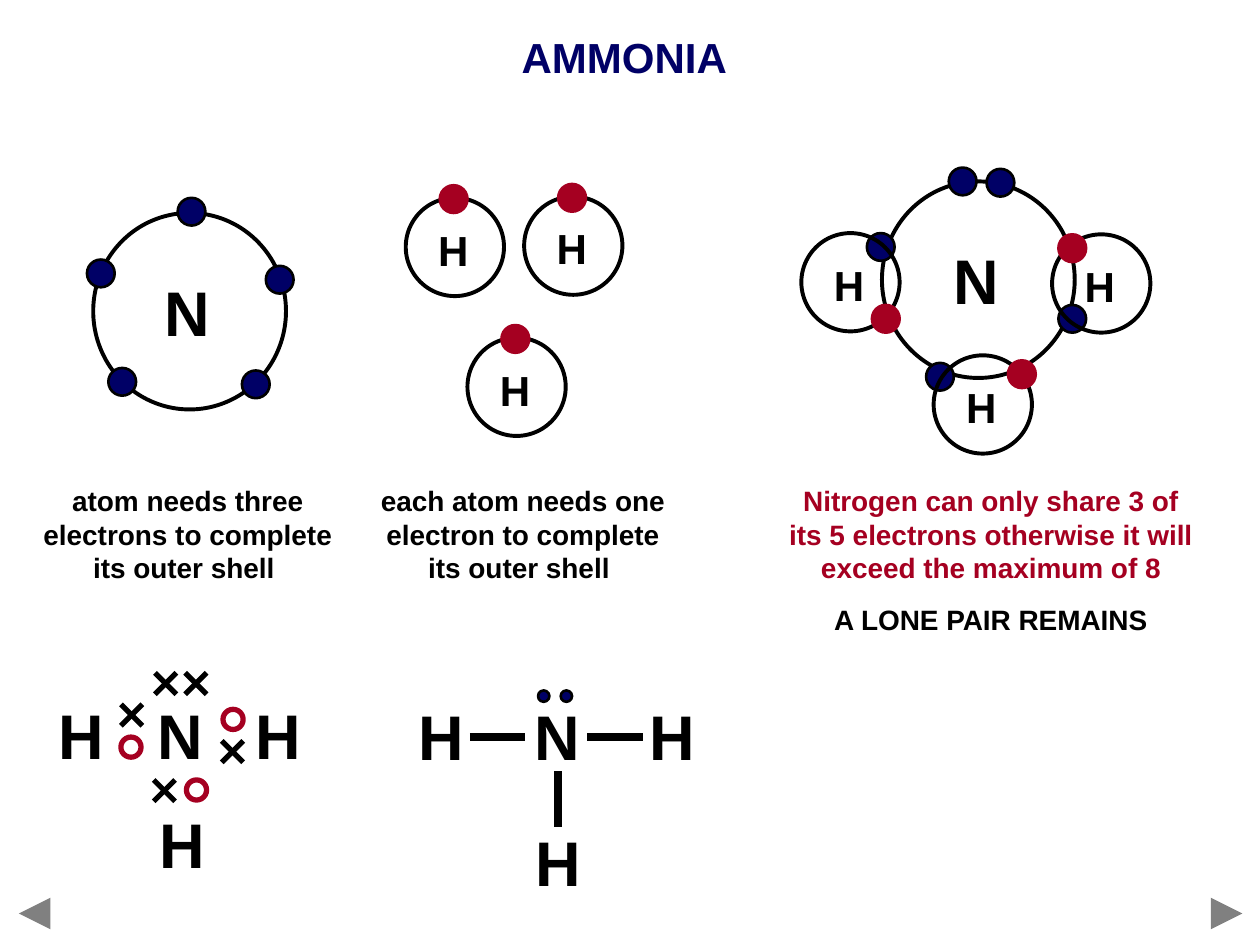
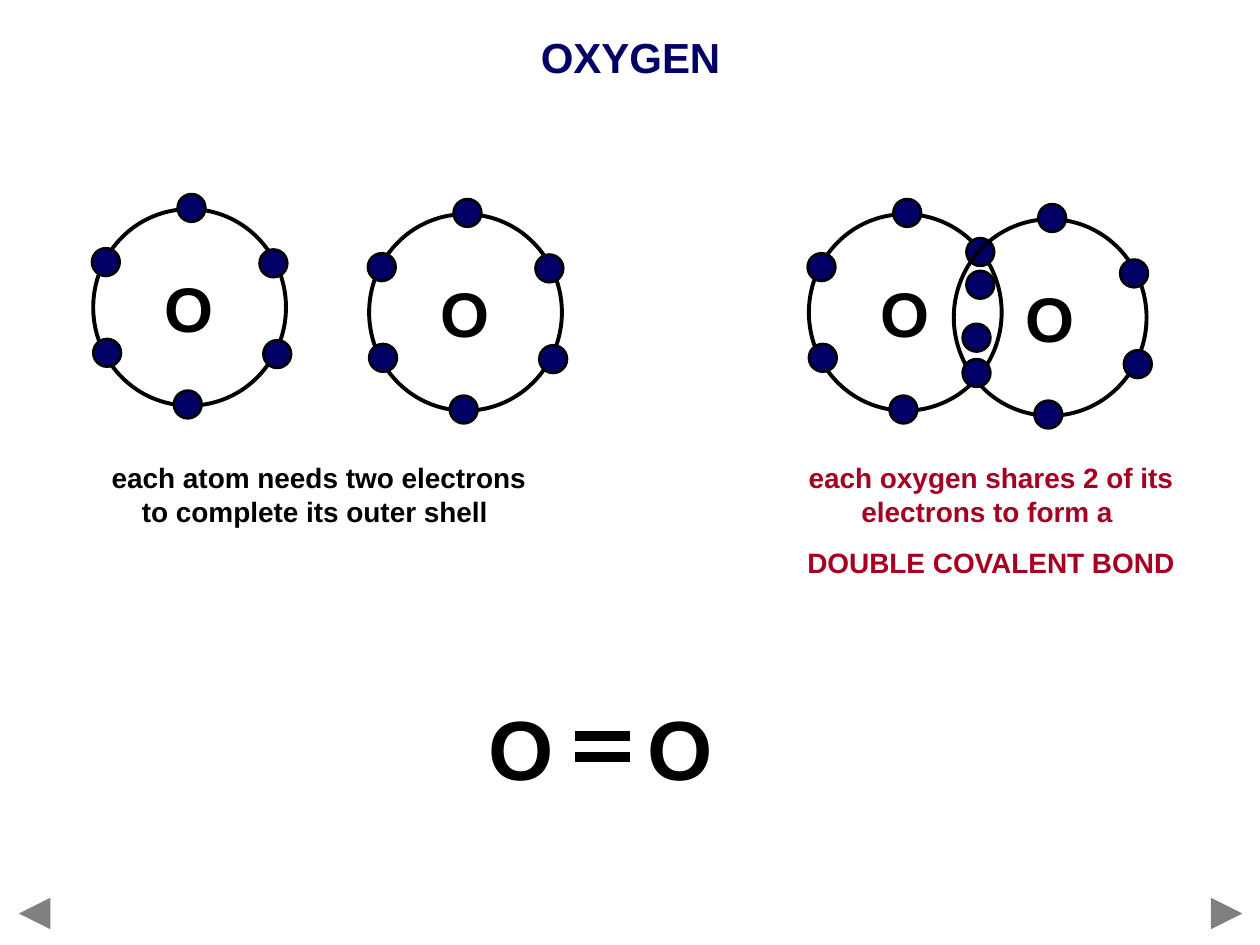
"""Build two slides on covalent bonding: ammonia and oxygen."""
from lxml import etree
from pptx import Presentation
from pptx.dml.color import RGBColor
from pptx.enum.shapes import MSO_CONNECTOR, MSO_SHAPE
from pptx.enum.text import MSO_AUTO_SIZE, PP_ALIGN
from pptx.oxml.ns import qn
from pptx.util import Emu, Pt

STRAIGHT = MSO_CONNECTOR.STRAIGHT
OVAL = MSO_SHAPE.OVAL
LEFT, CENTER = PP_ALIGN.LEFT, PP_ALIGN.CENTER
FIT_SHAPE = MSO_AUTO_SIZE.SHAPE_TO_FIT_TEXT

EMU_PER_PX = 9144
COLORS = {"black": "000000", "navy": "000066", "red": "A50021", "grey": "808080"}
FONT = {"name": "Arial", "bold": True}
SHELL_SIZE = (153, 156)
HYDROGEN_SIZE = 78
ELECTRON_SIZE = 22
CROSS_SIZE = 17
BOND_LENGTH = 44

NITROGEN_ELECTRONS = [(137, 42), (-5, 37), (67, -12), (12, 123), (118, 125)]
SHARED_NITROGEN_ELECTRONS = [(140, 98), (-12, 41), (83, -10), (35, 144), (53, -11)]
OXYGEN_ELECTRONS = {
    "top": (67, -12), "upper right": (132, 32), "lower right": (135, 104),
    "bottom": (64, 144), "lower left": (0, 103), "upper left": (-1, 31),
}
LEFT_PARTNER = {**OXYGEN_ELECTRONS, "upper right": (125, 19), "lower right": (122, 87)}
RIGHT_PARTNER = {**OXYGEN_ELECTRONS, "upper left": (10, 41), "lower left": (7, 111)}


def px(length):
    """Turn px into EMU."""
    return Emu(round(length * EMU_PER_PX))


def rgb(color):
    """Look up a named colour."""
    return RGBColor.from_string(COLORS[color])


def add_circle(shapes, x, y, width, height, line, weight, fill=None):
    """Draw an ellipse, hollow unless a fill is named."""
    shape = shapes.add_shape(OVAL, px(x), px(y), px(width), px(height))
    shape.shadow.inherit = False
    if fill:
        shape.fill.solid()
        shape.fill.fore_color.rgb = rgb(fill)
    else:
        shape.fill.background()
    shape.line.color.rgb = rgb(line)
    shape.line.width = Pt(weight)


def add_electron(shapes, x, y, color="navy", size=ELECTRON_SIZE):
    """Draw a solid electron; navy ones have a black outline."""
    outline = "black" if color == "navy" else color
    add_circle(shapes, x, y, size, size, outline, 1.5, color)


def add_line(shapes, start, end, weight, color="black", arrow=False):
    """Draw a straight line, with an arrowhead at its end if asked."""
    connector = shapes.add_connector(STRAIGHT, *map(px, start + end))
    connector.line.color.rgb = rgb(color)
    connector.line.width = Pt(weight)
    if arrow:
        outline = connector.line._get_or_add_ln()
        etree.SubElement(outline, qn("a:tailEnd"), type="triangle")
    etree.SubElement(connector._element.spPr, qn("a:effectLst"))


def add_text(shapes, x, y, width, height, lines, size,
             alignment=LEFT, wrap=False, tabs=()):
    """Write bold paragraphs given as (text, colour) pairs."""
    box = shapes.add_textbox(px(x), px(y), px(width), px(height))
    frame = box.text_frame
    for name, value in {"word_wrap": wrap, "auto_size": FIT_SHAPE}.items():
        setattr(frame, name, value)
    for index, (text, color) in enumerate(lines):
        paragraph = frame.add_paragraph() if index else frame.paragraphs[0]
        paragraph.alignment = alignment
        if index:
            paragraph.space_before = Pt(10)
        if tabs:
            properties = paragraph._p.get_or_add_pPr()
            tab_list = etree.SubElement(properties, qn("a:tabLst"))
            for position in tabs:
                etree.SubElement(tab_list, qn("a:tab"), pos=str(px(position)), algn="l")
        run = paragraph.add_run()
        run.text = text
        for name, value in {**FONT, "size": Pt(size)}.items():
            setattr(run.font, name, value)
        run.font.color.rgb = rgb(color)


def add_caption(shapes, x, y, width, height, *lines):
    """Write a centred explanation below the atoms."""
    add_text(shapes, x, y, width, height, lines, 16, CENTER, True)


def add_symbol(shapes, x, y, symbol, size=36):
    """Write one chemical symbol."""
    width, height = (56, 70) if size == 36 else (44, 50)
    add_text(shapes, x, y, width, height, [(symbol, "black")], size)


def add_symbol_row(shapes, x, y, symbols, step, size=36):
    """Write symbols a fixed step apart on one line."""
    count = len(symbols)
    tabs = [step * index for index in range(1, count)]
    add_text(shapes, x, y, step * count, size * 2, [("\t".join(symbols), "black")],
             size, wrap=True, tabs=tabs)


def add_atom(shapes, x, y, symbol, electrons):
    """Draw an outer shell with its electrons and symbol."""
    add_circle(shapes, x, y, *SHELL_SIZE, "black", 2.25)
    for dx, dy in electrons:
        add_electron(shapes, x + dx, y + dy)
    add_symbol(shapes, x + 47, y + 43, symbol)


def add_hydrogen(shapes, x, y, dx=27, dy=-10):
    """Draw a hydrogen atom with its red electron at an offset."""
    add_circle(shapes, x, y, HYDROGEN_SIZE, HYDROGEN_SIZE, "black", 2.25)
    add_electron(shapes, x + dx, y + dy, "red")
    add_symbol(shapes, x + 16, y + 16, "H", 24)


def add_cross(shapes, x, y):
    """Draw a cross that marks a nitrogen electron."""
    group = shapes.add_group_shape().shapes
    right, bottom = x + CROSS_SIZE, y + CROSS_SIZE
    add_line(group, (x, y), (right, bottom), 3)
    add_line(group, (right, y), (x, bottom), 3)


def add_bond(shapes, x, y, weight, vertical=False):
    """Draw one bond to the right or downwards."""
    end = (x, y + BOND_LENGTH) if vertical else (x + BOND_LENGTH, y)
    add_line(shapes, (x, y), end, weight)


def add_base_slide(presentation, title, title_x):
    """Add a slide with its title and page arrows; return its shapes."""
    shapes = presentation.slides.add_slide(presentation.slide_layouts[6]).shapes
    add_text(shapes, title_x, 20, 575, 50, [(title, "navy")], 24, CENTER, True)
    for start, end in ((965, 986), (36, 15)):
        add_line(shapes, (start, 725), (end, 725), 6, "grey", True)
    return shapes


def add_dot_cross_ammonia(shapes):
    """Draw the dot and cross formula of ammonia."""
    add_symbol_row(shapes, 37, 548, "HNH", 78)
    add_symbol(shapes, 117, 634, "H")
    for x, y in ((122, 619), (176, 588), (147, 534), (96, 559), (123, 534)):
        add_cross(shapes, x, y)
    for x, y in ((148, 619), (177, 563), (96, 585)):
        add_circle(shapes, x, y, 16, 16, "red", 3)


def add_structural_ammonia(shapes):
    """Draw the structural formula of ammonia with its lone pair."""
    group = shapes.add_group_shape().shapes
    add_symbol_row(group, 322, 549, "HNH", 92)
    add_symbol(group, 415, 649, "H")
    for x in (373, 466):
        add_bond(group, x, 585, 4.5)
    add_bond(group, 443, 612, 4.5, vertical=True)
    for x in (427, 445):
        add_electron(group, x, 548, size=9)


def build_ammonia(presentation):
    """Build the ammonia slide."""
    shapes = add_base_slide(presentation, "AMMONIA", 208)
    add_atom(shapes, 74, 169, "N", NITROGEN_ELECTRONS)
    for x, y in ((322, 157), (416, 156), (371, 268)):
        add_hydrogen(shapes, x, y)
    add_atom(shapes, 700, 144, "N", SHARED_NITROGEN_ELECTRONS)
    for x, y, dx, dy in ((741, 282, 59, 4), (636, 185, 56, 57), (835, 186, 5, 0)):
        add_hydrogen(shapes, x, y, dx, dy)
    add_dot_cross_ammonia(shapes)
    add_structural_ammonia(shapes)
    add_caption(shapes, 281, 379, 268, 90,
                ("each atom needs one electron to complete its outer shell ", "black"))
    add_caption(shapes, 20, 379, 258, 90,
                ("atom needs three electrons to complete its outer shell ", "black"))
    add_caption(shapes, 615, 379, 343, 131,
                ("Nitrogen can only share 3 of its 5 electrons otherwise "
                 "it will exceed the maximum of 8", "red"),
                ("A LONE PAIR REMAINS", "black"))


def build_oxygen(presentation):
    """Build the oxygen slide."""
    shapes = add_base_slide(presentation, "OXYGEN", 213)
    for x, y, electrons in ((74, 166, OXYGEN_ELECTRONS), (293, 170, OXYGEN_ELECTRONS),
                            (642, 170, LEFT_PARTNER), (757, 174, RIGHT_PARTNER)):
        add_atom(shapes, x, y, "O", electrons.values())
    add_caption(shapes, 74, 361, 358, 64,
                ("each atom needs two electrons to complete its outer shell ", "black"))
    add_caption(shapes, 615, 361, 343, 104,
                ("each oxygen shares 2 of its electrons to form a ", "red"),
                ("DOUBLE COVALENT BOND", "red"))
    group = shapes.add_group_shape().shapes
    add_symbol_row(group, 378, 548, "OO", 126, 48)
    for y in (584, 601):
        add_bond(group, 456, y, 6)


def main():
    """Build and save the presentation."""
    presentation = Presentation()
    presentation.slide_width, presentation.slide_height = px(1000), px(750)
    build_ammonia(presentation)
    build_oxygen(presentation)
    presentation.save("out.pptx")


if __name__ == "__main__":
    main()
